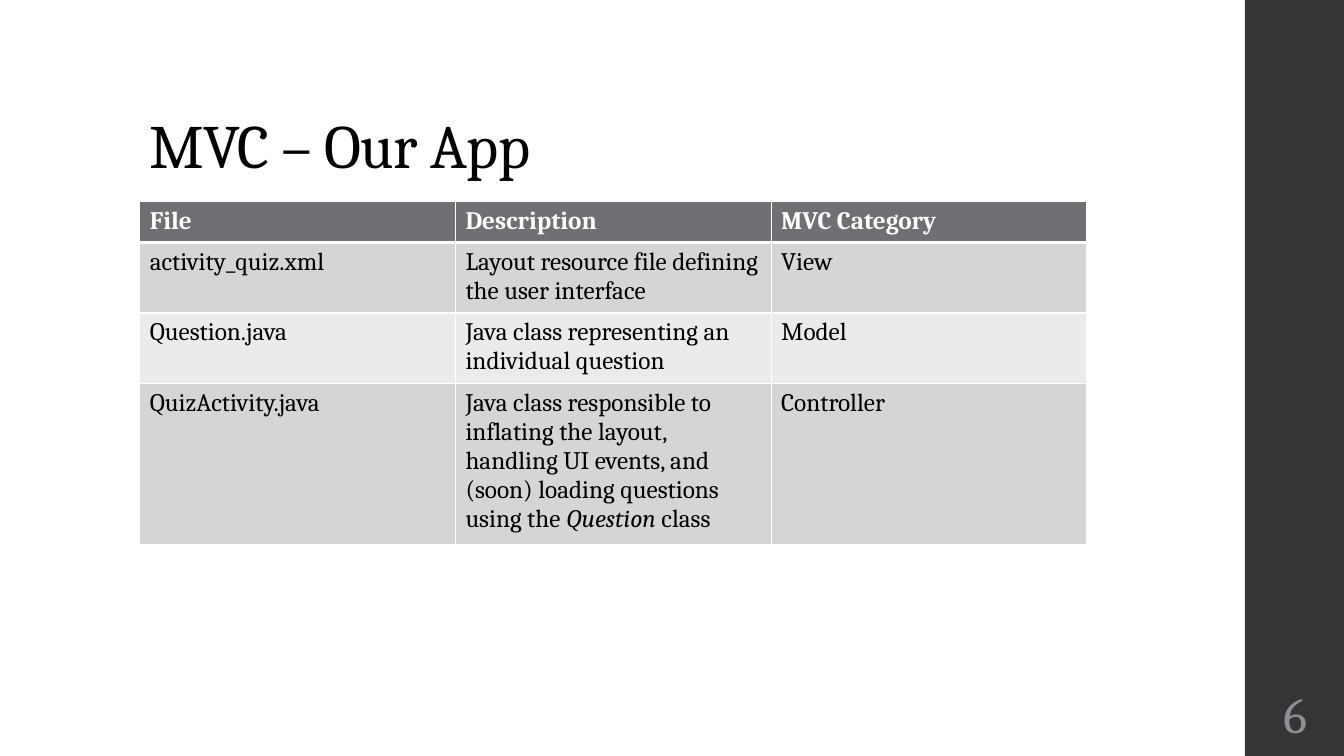
"""Build the slide that sorts the quiz app's files by MVC category."""
from lxml.etree import SubElement
from pptx import Presentation
from pptx.dml.color import RGBColor
from pptx.enum.shapes import MSO_SHAPE
from pptx.enum.text import MSO_ANCHOR as ANCHOR, PP_ALIGN as ALIGN
from pptx.oxml import parse_xml
from pptx.oxml.ns import nsdecls, qn
from pptx.util import Pt

FONT = "Cambria"
WHITE = RGBColor(0xFF, 0xFF, 0xFF)
BLACK = RGBColor(0x00, 0x00, 0x00)
SIDEBAR = RGBColor(0x35, 0x35, 0x37)
NUMBER = RGBColor(0x8E, 0x8E, 0x94)
HEADER = RGBColor(0x6F, 0x6F, 0x74)
BANDS = [RGBColor(0xEB, 0xEB, 0xEB), RGBColor(0xD5, 0xD5, 0xD6)]

ROWS = [
    ["File", "Description", "MVC Category"],
    ["activity_quiz.xml", "Layout resource file defining the user interface", "View"],
    ["Question.java", "Java class representing an individual question", "Model"],
    ["QuizActivity.java",
     "Java class responsible to inflating the layout, handling UI events, "
     "and (soon) loading questions using the *Question* class", "Controller"],
]


def style_run(r, size, color, bold=False):
    r.font.name = FONT
    r.font.size = Pt(size)
    r.font.color.rgb = color
    r.font.bold = bold


def add_borders(cell, widths):
    tc_pr = cell._tc.get_or_add_tcPr()
    for i, (side, width) in enumerate(widths.items()):
        ln = parse_xml(f'<a:ln{side} {nsdecls("a")} w="{Pt(width)}"/>')
        fill = SubElement(ln, qn("a:solidFill"))
        SubElement(fill, qn("a:srgbClr"), val=str(WHITE))
        tc_pr.insert(i, ln)


prs = Presentation()
prs.slide_width, prs.slide_height = Pt(960), Pt(540)
s = prs.slides.add_slide(prs.slide_layouts[6])

sp = s.shapes.add_shape(MSO_SHAPE.RECTANGLE, Pt(889.2), 0, Pt(70.8), Pt(540))
sp.shadow.inherit = False
sp.fill.solid()
sp.fill.fore_color.rgb = SIDEBAR
sp.line.fill.background()

title = s.shapes.add_textbox(Pt(99.4), Pt(28.8), Pt(763.2), Pt(104.4))
tf = title.text_frame
tf.word_wrap = True
tf.vertical_anchor = ANCHOR.BOTTOM
tf.text = "MVC – Our App"
p = tf.paragraphs[0]
p.line_spacing = 0.9
style_run(p.runs[0], 44, BLACK)
p.runs[0].font._element.set("spc", "-50")

table = s.shapes.add_table(len(ROWS), 3, Pt(99.8), Pt(144), Pt(676.5), Pt(116.8)).table
for col in table.columns:
    col.width = Pt(225.5)
for i, texts in enumerate(ROWS):
    table.rows[i].height = Pt(29.2)
    for j, text in enumerate(texts):
        cell = table.cell(i, j)
        cell.fill.solid()
        cell.fill.fore_color.rgb = BANDS[i % 2] if i else HEADER
        add_borders(cell, {"L": 1, "R": 1, "T": 3 if i == 1 else 1, "B": 1 if i else 3})
        p = cell.text_frame.paragraphs[0]
        for k, part in enumerate(text.split("*")):
            r = p.add_run()
            r.text = part
            style_run(r, 18, BLACK if i else WHITE, bold=i == 0)
            r.font.italic = k % 2 == 1

number = s.shapes.add_textbox(Pt(889.2), Pt(486), Pt(72), Pt(46.8))
tf = number.text_frame
tf.word_wrap = True
tf.vertical_anchor = ANCHOR.MIDDLE
tf.margin_left = tf.margin_right = tf.margin_top = tf.margin_bottom = Pt(3.6)
tf.text = "6"
p = tf.paragraphs[0]
p.alignment = ALIGN.CENTER
style_run(p.runs[0], 36, NUMBER)

prs.save("out.pptx")
